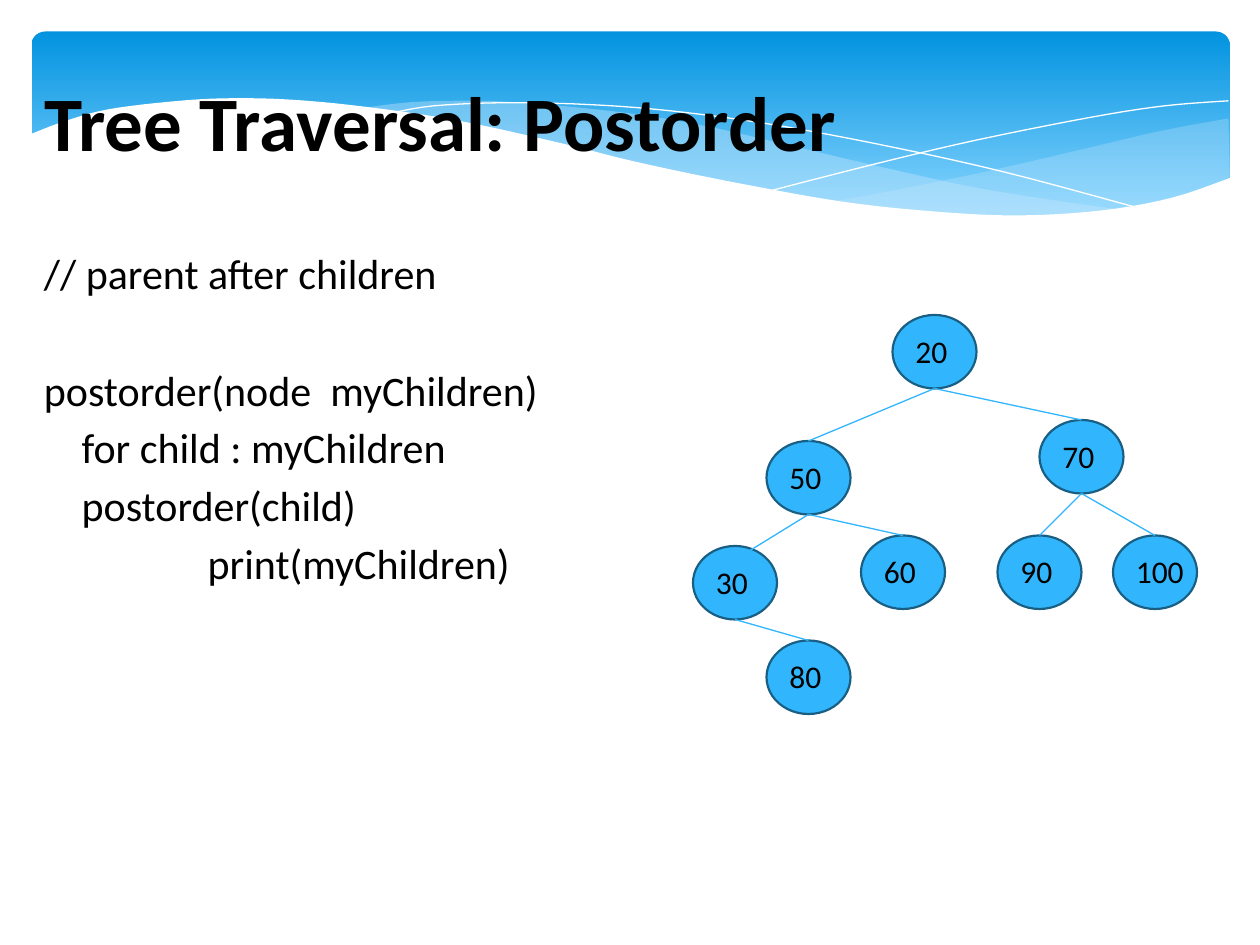
"""Build the slide on postorder tree traversal, with its wave banner and example tree."""
from lxml.etree import SubElement
from pptx import Presentation
from pptx.dml.color import RGBColor
from pptx.enum.shapes import MSO_CONNECTOR, MSO_SHAPE
from pptx.enum.text import MSO_ANCHOR, PP_ALIGN
from pptx.oxml.ns import qn
from pptx.util import Pt

FONT = "Calibri"
BLACK, WHITE = "000000", "FFFFFF"
NODE_FILL, NODE_LINE = "31B6FD", "195F84"
PALE_WAVE = "C6E7FC"
NODE_WIDTH, NODE_HEIGHT = 48, 42

LENS_TOP = [(702, 67.7), (663, 74.9), (620, 85), (561, 98.6), (508, 109.4), (476, 115.2)]
LENS_BOTTOM = [(476, 115.2), (517.7, 120.2), (553.7, 123.1), (586, 123.8), (621.4, 122.4),
               (657.4, 116.6), (683.3, 109.4), (702.7, 101.5)]
BAND_TOP = [(643, 120.2), (602.6, 114.5), (558, 107.3), (508.3, 96.5), (452.9, 83.5),
            (409.7, 73.4), (370, 66.2), (334.8, 61.9), (302.4, 59), (273.6, 57.6),
            (236.2, 58.3), (205.9, 61.9)]
BAND_BOTTOM = [(205.9, 61.9), (246.2, 67.7), (290.9, 76.3), (323.3, 83.5), (381.6, 97.2),
               (432.7, 108), (478.8, 115.9), (519.8, 121), (556.6, 123.8), (589, 124.6),
               (617, 123.1), (643, 120.2)]
FALLING_LINE = [(222.5, 64.8), (247.7, 60.5), (288.7, 58.7), (337.7, 59.8), (383.8, 63.4),
                (437.8, 70.6), (500.4, 82.1), (572.4, 97.9), (653, 119.5)]
RISING_LINE = [(441.4, 108.7), (500.4, 93.6), (558.7, 79.9), (623.5, 67), (665.3, 60.5),
               (702, 57.6)]
WHITE_EDGE = [(703.4, 101.5), (669.6, 113), (630, 120.2), (582.5, 123.1), (535.7, 121),
              (481, 115.2), (416.9, 103.7), (362.2, 92.2), (321.8, 82.1), (262.8, 69.1),
              (210.2, 61.2), (165.6, 56.9), (127.4, 56.2), (95, 58.3), (61.2, 62.6),
              (37.4, 69.1), (16.6, 77)]
WHITE_BASE = [(16.6, 161.3), (703.4, 161.3)]

CODE_LINES = [
    ("// parent after children", 0, 0),
    ("postorder(node  myChildren)", 0, 37.7),
    ("for child : myChildren", 21.6, 4.2),
    ("postorder(child)", 21.6, 4.2),
    ("print(myChildren)", 93.6, 4.2),
]
NODES = {
    "20": (510, 180), "30": (396, 312), "70": (594, 240), "50": (438, 252),
    "60": (492, 306), "90": (570, 306), "100": (636, 306), "80": (438, 366),
}
EDGES = [("20", "50"), ("20", "70"), ("50", "60"), ("30", "80"), ("70", "90"), ("70", "100")]


def color(value):
    """Turn a hex string into a colour."""
    return RGBColor.from_string(value)


def smooth(knots, steps=5):
    """Return points on a Catmull-Rom curve through the knots."""
    padded = [knots[0], *knots, knots[-1]]
    points = [knots[0]]
    for before, start, end, after in zip(padded, padded[1:], padded[2:], padded[3:]):
        for step in range(1, steps + 1):
            t = step / steps
            points.append(tuple(
                (2 * b + (c - a) * t + (2 * a - 5 * b + 4 * c - d) * t ** 2
                 + (3 * b - a - 3 * c + d) * t ** 3) / 2
                for a, b, c, d in zip(before, start, end, after)))
    return points


class SlideBuilder:
    """Hold the style and the current slide."""

    def __init__(self, page, font=FONT):
        """Keep the page and its font."""
        self.page = page
        self.shapes = page.shapes
        self.font = font

    def add_span(self, para, text, size, bold=False):
        """Add one run to a paragraph."""
        span = para.add_run()
        span.text = text
        span.font.name = self.font
        span.font.size = Pt(size)
        span.font.bold = bold
        span.font.color.rgb = color(BLACK)

    def banner(self, left, top, width, height):
        """Add the rounded gradient banner."""
        box = self.shapes.add_shape(MSO_SHAPE.ROUNDED_RECTANGLE, Pt(left), Pt(top),
                                    Pt(width), Pt(height))
        box.adjustments[0] = 0.07
        box.shadow.inherit = False
        box.line.fill.background()
        box.fill.gradient()
        box.fill.gradient_angle = 270
        stops = [(0, "0293E0"), (0.9, "83D3FE")]
        for stop, (position, value) in zip(box.fill.gradient_stops, stops):
            stop.position = position
            stop.color.rgb = color(value)

    def outline(self, points, closed):
        """Add a freeform without a shadow."""
        corners = [(Pt(x), Pt(y)) for x, y in points]
        builder = self.shapes.build_freeform(*corners[0])
        builder.add_line_segments(corners[1:], close=closed)
        shape = builder.convert_to_shape()
        shape.shadow.inherit = False
        return shape

    def wave(self, points, fill, opacity=100):
        """Add a filled wave."""
        shape = self.outline(points, True)
        shape.line.fill.background()
        shape.fill.solid()
        shape.fill.fore_color.rgb = color(fill)
        if opacity < 100:
            tint = next(shape._element.spPr.iter(qn("a:srgbClr")))
            SubElement(tint, qn("a:alpha"), val=str(opacity * 1000))

    def hairline(self, points):
        """Add a thin white curve."""
        shape = self.outline(points, False)
        shape.fill.background()
        shape.line.color.rgb = color(WHITE)
        shape.line.width = Pt(0)

    def title(self, text, left, top, width, height):
        """Place the title in front of the banner."""
        box = self.shapes.title
        box.left, box.top, box.width, box.height = map(Pt, (left, top, width, height))
        box.text_frame.vertical_anchor = MSO_ANCHOR.MIDDLE
        para = box.text_frame.paragraphs[0]
        para.alignment = PP_ALIGN.LEFT
        self.add_span(para, text, 44, bold=True)
        self.shapes._spTree.append(box._element)

    def text_box(self, left, top, width, height):
        """Add a wrapping text box and return its frame."""
        frame = self.shapes.add_textbox(Pt(left), Pt(top), Pt(width), Pt(height)).text_frame
        frame.word_wrap = True
        return frame

    def code(self, lines, left, top, width, height):
        """Add indented lines of code."""
        frame = self.text_box(left, top, width, height)
        for number, (text, indent, space) in enumerate(lines):
            para = frame.add_paragraph() if number else frame.paragraphs[0]
            para.space_before = Pt(space)
            para._p.get_or_add_pPr().set("marL", str(Pt(indent)))
            self.add_span(para, text, 24)

    def node(self, text, left, top):
        """Add a tree node with its label."""
        oval = self.shapes.add_shape(MSO_SHAPE.OVAL, Pt(left), Pt(top),
                                     Pt(NODE_WIDTH), Pt(NODE_HEIGHT))
        oval.shadow.inherit = False
        oval.fill.solid()
        oval.fill.fore_color.rgb = color(NODE_FILL)
        oval.line.color.rgb = color(NODE_LINE)
        oval.line.width = Pt(1.25)
        frame = self.text_box(left + 6, top + 6, 42, 28.8)
        frame.margin_right = Pt(0)
        self.add_span(frame.paragraphs[0], text, 18)
        return oval

    def edge(self, parent, end, child=None):
        """Add a line from below a parent, joined to the top of a child."""
        left, top = NODES[parent]
        line = self.shapes.add_connector(
            MSO_CONNECTOR.STRAIGHT, Pt(left + NODE_WIDTH / 2), Pt(top + NODE_HEIGHT),
            *map(Pt, end))
        line.line.color.rgb = color(NODE_FILL)
        line.line.width = Pt(0.75)
        SubElement(line._element.spPr, qn("a:effectLst"))
        if child is not None:
            line.end_connect(child, 0)


def main():
    """Build and save the deck."""
    deck = Presentation()
    deck.slide_width, deck.slide_height = Pt(720), Pt(540)
    slide = SlideBuilder(deck.slides.add_slide(deck.slide_layouts[5]))

    slide.banner(18, 18, 684.7, 112.3)
    slide.wave(smooth(LENS_TOP) + smooth(LENS_BOTTOM), PALE_WAVE, 29)
    slide.wave(smooth(BAND_TOP) + smooth(BAND_BOTTOM), PALE_WAVE, 40)
    slide.hairline(smooth(FALLING_LINE))
    slide.hairline(smooth(RISING_LINE))
    slide.wave(smooth(WHITE_EDGE) + WHITE_BASE, WHITE)

    slide.title("Tree Traversal: Postorder", 18, 24, 648, 90)
    slide.code(CODE_LINES, 18, 138, 690, 321)

    ovals = {text: slide.node(text, *place) for text, place in NODES.items()}
    for parent, child in EDGES:
        left, top = NODES[child]
        slide.edge(parent, (left + NODE_WIDTH / 2, top), ovals[child])
    slide.edge("50", (423, 318))
    deck.save("out.pptx")


if __name__ == "__main__":
    main()
